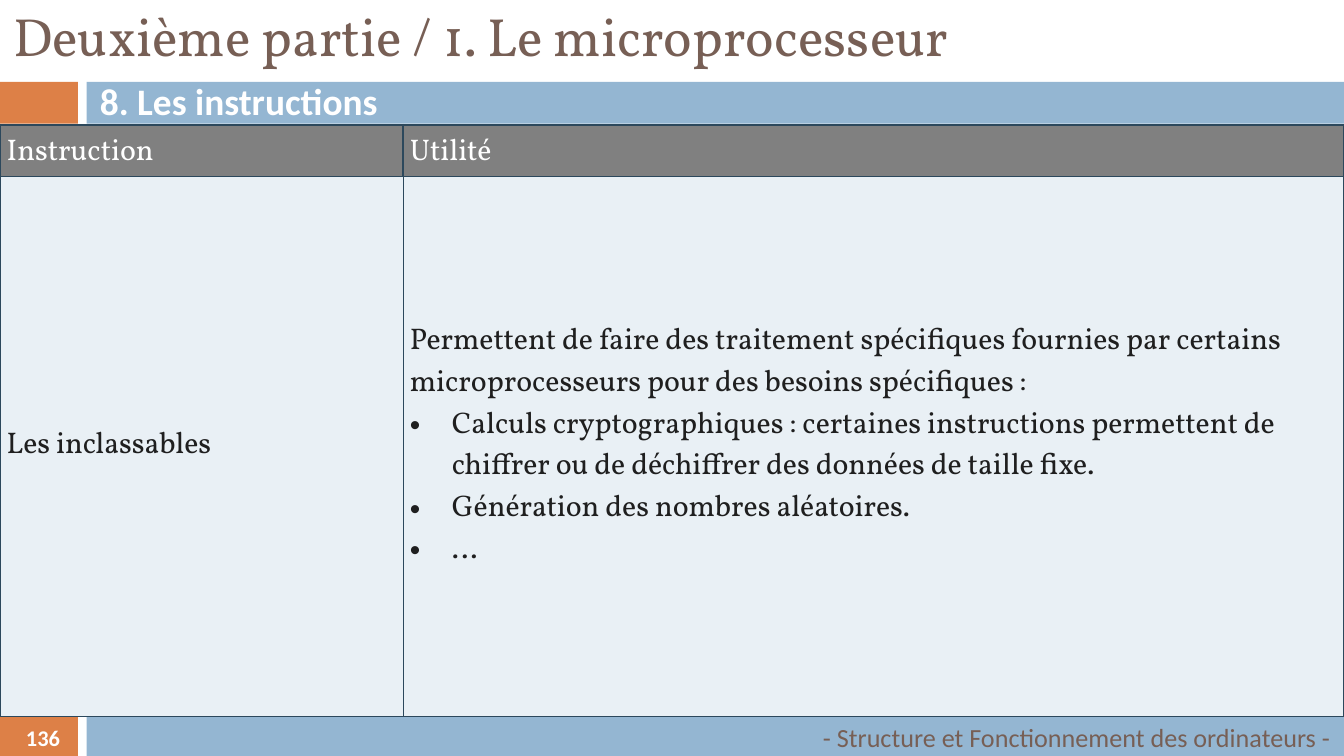
from lxml.etree import SubElement
from pptx import Presentation
from pptx.dml.color import RGBColor
from pptx.enum.shapes import MSO_SHAPE
from pptx.enum.text import MSO_ANCHOR, PP_ALIGN
from pptx.oxml.ns import qn
from pptx.util import Pt

ORANGE, BLUE, BROWN, WHITE = "DD8047", "94B6D2", "775F55", "FFFFFF"
GREY, PALE, INK, NAVY = "808080", "E9F0F5", "1F1F1F", "2C485C"


def color(hex_string):
    return RGBColor.from_string(hex_string)


def style(paragraph, name, size, hex_string, bold=False):
    font = paragraph.font
    font.name, font.size, font.bold = name, Pt(size), bold
    font.color.rgb = color(hex_string)


deck = Presentation()
deck.slide_width, deck.slide_height = Pt(720), Pt(405)
page = deck.slides.add_slide(deck.slide_layouts[6])

# Two bands, each an orange tab and a blue bar
for top in (43.9, 383.8):
    for left, width, fill in ((0, 41.8, ORANGE), (46.4, 673.6, BLUE)):
        band = page.shapes.add_shape(
            MSO_SHAPE.RECTANGLE, Pt(left), Pt(top), Pt(width), Pt(22.3))
        band.shadow.inherit = False
        band.fill.solid()
        band.fill.fore_color.rgb = color(fill)
        band.line.fill.background()

# Title, subtitle, page number and footer
labels = [
    ("136", 2.9, 383.8, 40.3, 22.3, PP_ALIGN.CENTER, "Calibri", 12, WHITE, True),
    ("Deuxième partie / 1. Le microprocesseur", 0, -0.7, 720, 38.9,
     PP_ALIGN.LEFT, "Vollkorn", 28.8, BROWN, False),
    ("- Structure et Fonctionnement des ordinateurs -", 54, 383.8, 666, 21.6,
     PP_ALIGN.RIGHT, "Calibri", 14, BROWN, False),
    ("8. Les instructions", 46.4, 43.9, 673.6, 20.2,
     PP_ALIGN.LEFT, "Calibri", 20, WHITE, True),
]
for text, left, top, width, height, align, name, size, ink, bold in labels:
    box = page.shapes.add_textbox(Pt(left), Pt(top), Pt(width), Pt(height))
    frame = box.text_frame
    frame.word_wrap = True
    frame.vertical_anchor = MSO_ANCHOR.MIDDLE
    frame.margin_top = frame.margin_bottom = 0
    frame.text = text
    frame.paragraphs[0].alignment = align
    style(frame.paragraphs[0], name, size, ink, bold)

# Instruction table
rows = [
    [["Instruction"], ["Utilité"]],
    [["Les inclassables"], [
        "Permettent de faire des traitement spécifiques fournies par certains "
        "microprocesseurs pour des besoins spécifiques :",
        "Calculs cryptographiques : certaines instructions permettent de "
        "chiffrer ou de déchiffrer des données de taille fixe.",
        "Génération des nombres aléatoires.",
        "…",
    ]],
]
table = page.shapes.add_table(2, 2, 0, Pt(67), Pt(720), Pt(316.8)).table
table.horz_banding = False
for column, width in zip(table.columns, (216, 504)):
    column.width = Pt(width)
for row, height in zip(table.rows, (27.4, 289.4)):
    row.height = Pt(height)

for row_index, row in enumerate(rows):
    header = row_index == 0
    for column_index, texts in enumerate(row):
        cell = table.cell(row_index, column_index)
        cell.vertical_anchor = MSO_ANCHOR.MIDDLE
        cell.margin_left = cell.margin_right = Pt(3.6)
        cell.margin_top = cell.margin_bottom = Pt(3.6)

        properties = cell._tc.get_or_add_tcPr()
        for side in "LRTB":
            weight = 1.5 if header and side != "B" else 0.75
            border = SubElement(properties, qn(f"a:ln{side}"), w=str(Pt(weight)))
            paint = SubElement(border, qn("a:solidFill"))
            SubElement(paint, qn("a:srgbClr"), val=NAVY)
        cell.fill.solid()
        cell.fill.fore_color.rgb = color(GREY if header else PALE)

        cell.text = "\n".join(texts)
        for index, paragraph in enumerate(cell.text_frame.paragraphs):
            if index > 0:
                bullet = paragraph._p.get_or_add_pPr()
                bullet.set("marL", str(Pt(22.5)))
                bullet.set("indent", str(-Pt(22.5)))
                SubElement(bullet, qn("a:buFont"), typeface="Arial")
                SubElement(bullet, qn("a:buChar"), char="•")
            style(paragraph, "Vollkorn", 16, WHITE if header else INK)

deck.save("out.pptx")
